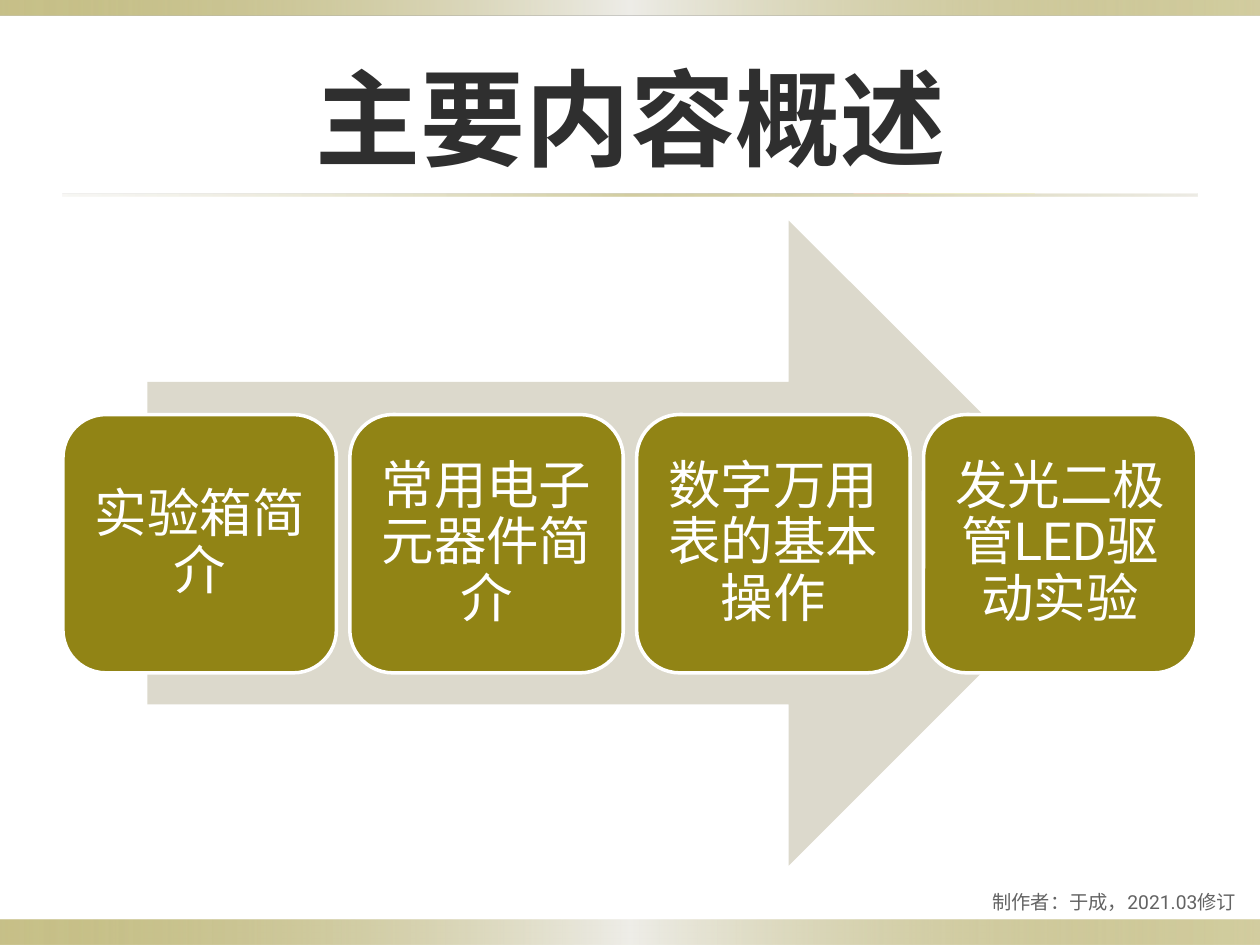
from dataclasses import dataclass

from lxml.etree import SubElement
from pptx import Presentation
from pptx.dml.color import RGBColor
from pptx.enum.shapes import MSO_SHAPE
from pptx.enum.text import MSO_ANCHOR, PP_ALIGN
from pptx.oxml.ns import qn
from pptx.shapes.autoshape import Shape
from pptx.slide import Slide
from pptx.util import Inches, Pt

COLORS = {
    "olive": "918415",
    "pale": "EEEDE8",
    "sand": "DCD9CC",
    "white": "FFFFFF",
    "title": "2F2F2F",
    "footer": "636363",
}
FONT = "Roboto"
TOPICS = ["实验箱简介", "常用电子元器件简介", "数字万用表的基本操作", "发光二极管LED驱动实验"]
CARD_LEFT, CARD_TOP = 0.5, 3.29
CARD_WIDTH, CARD_HEIGHT = 2.17, 2.05
CARDS_WIDTH = 9


@dataclass
class Area:
    left: float
    top: float
    width: float
    height: float

    def lengths(self) -> list[int]:
        return [Inches(value) for value in (self.left, self.top, self.width, self.height)]


@dataclass
class Stop:
    position: int
    color: str
    opacity: int = 100


@dataclass
class Band:
    area: Area
    stops: list[Stop]


EDGE_STOPS = [Stop(0, "olive", 50), Stop(50, "pale"), Stop(100, "olive", 40)]
RULE_STOPS = [Stop(0, "sand", 20), Stop(50, "olive", 40), Stop(100, "sand", 50)]
BANDS = [
    Band(Area(0, 7.3, 10, 0.2), EDGE_STOPS),
    Band(Area(0, 0, 10, 0.12), EDGE_STOPS),
    Band(Area(0.5, 1.54, 9, 0.02), RULE_STOPS),
]


def rgb(name: str) -> RGBColor:
    return RGBColor.from_string(COLORS[name])


def add_plain_shape(page: Slide, kind: MSO_SHAPE, area: Area) -> Shape:
    shape = page.shapes.add_shape(kind, *area.lengths())
    shape.shadow.inherit = False
    shape.line.fill.background()
    return shape


def add_band(page: Slide, band: Band) -> None:
    shape = add_plain_shape(page, MSO_SHAPE.RECTANGLE, band.area)
    shape.fill.gradient()
    shape.fill.gradient_angle = 0
    stop_list = next(shape._element.iter(qn("a:gsLst")))
    for old_stop in list(stop_list):
        stop_list.remove(old_stop)
    for stop in band.stops:
        entry = SubElement(stop_list, qn("a:gs"), pos=str(stop.position * 1000))
        color = SubElement(entry, qn("a:srgbClr"), val=COLORS[stop.color])
        SubElement(color, qn("a:alpha"), val=str(stop.opacity * 1000))


def write_text(box: Shape, text: str, size: int, color: str,
               alignment: PP_ALIGN, bold: bool = False) -> None:
    frame = box.text_frame
    frame.text = text
    frame.word_wrap = True
    frame.vertical_anchor = MSO_ANCHOR.MIDDLE
    paragraph = frame.paragraphs[0]
    paragraph.alignment = alignment
    font = paragraph.runs[0].font
    font.name, font.size, font.bold = FONT, Pt(size), bold
    font.color.rgb = rgb(color)


def add_card(page: Slide, area: Area, topic: str) -> None:
    card = add_plain_shape(page, MSO_SHAPE.ROUNDED_RECTANGLE, area)
    card.fill.solid()
    card.fill.fore_color.rgb = rgb("olive")
    card.line.color.rgb = rgb("white")
    card.line.width = Pt(2)
    write_text(card, topic, 30, "white", PP_ALIGN.CENTER)
    frame = card.text_frame
    frame.margin_left = frame.margin_right = Inches(0.12)
    frame.margin_top = frame.margin_bottom = Inches(0.12)
    frame.paragraphs[0].line_spacing = 0.9


def main() -> None:
    deck = Presentation()
    deck.slide_width, deck.slide_height = Inches(10), Inches(7.5)
    page = deck.slides.add_slide(deck.slide_layouts[5])

    for band in BANDS:
        add_band(page, band)

    title = page.shapes.title
    title.left, title.top, title.width, title.height = Area(0.5, 0.3, 9, 1.25).lengths()
    write_text(title, "主要内容概述", 60, "title", PP_ALIGN.CENTER, bold=True)

    arrow = add_plain_shape(page, MSO_SHAPE.RIGHT_ARROW, Area(1.17, 1.75, 7.65, 5.12))
    arrow.fill.solid()
    arrow.fill.fore_color.rgb = rgb("sand")

    step = (CARDS_WIDTH - CARD_WIDTH) / (len(TOPICS) - 1)
    for index, topic in enumerate(TOPICS):
        left = CARD_LEFT + index * step
        add_card(page, Area(left, CARD_TOP, CARD_WIDTH, CARD_HEIGHT), topic)

    footer = page.shapes.add_textbox(*Area(5.83, 7, 4.08, 0.31).lengths())
    write_text(footer, "制作者：于成，2021.03修订", 11, "footer", PP_ALIGN.RIGHT)

    deck.save("out.pptx")


if __name__ == "__main__":
    main()
